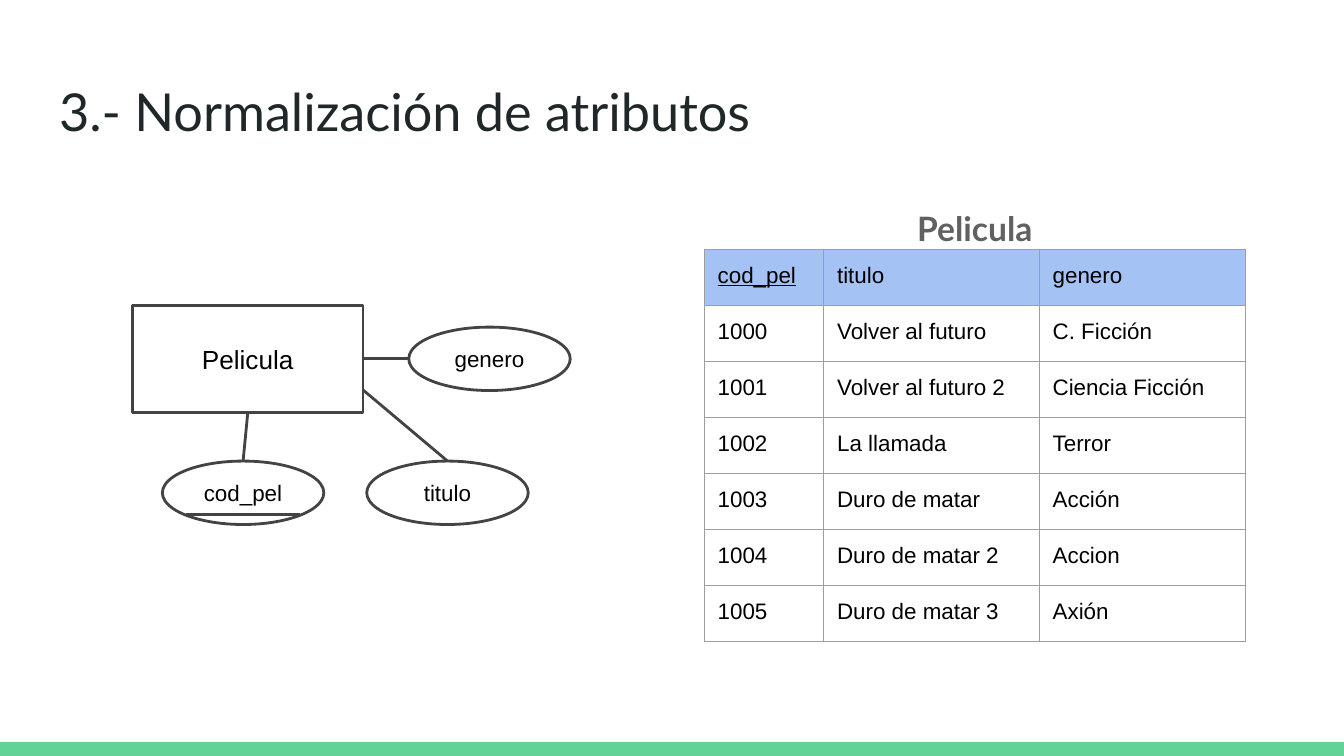
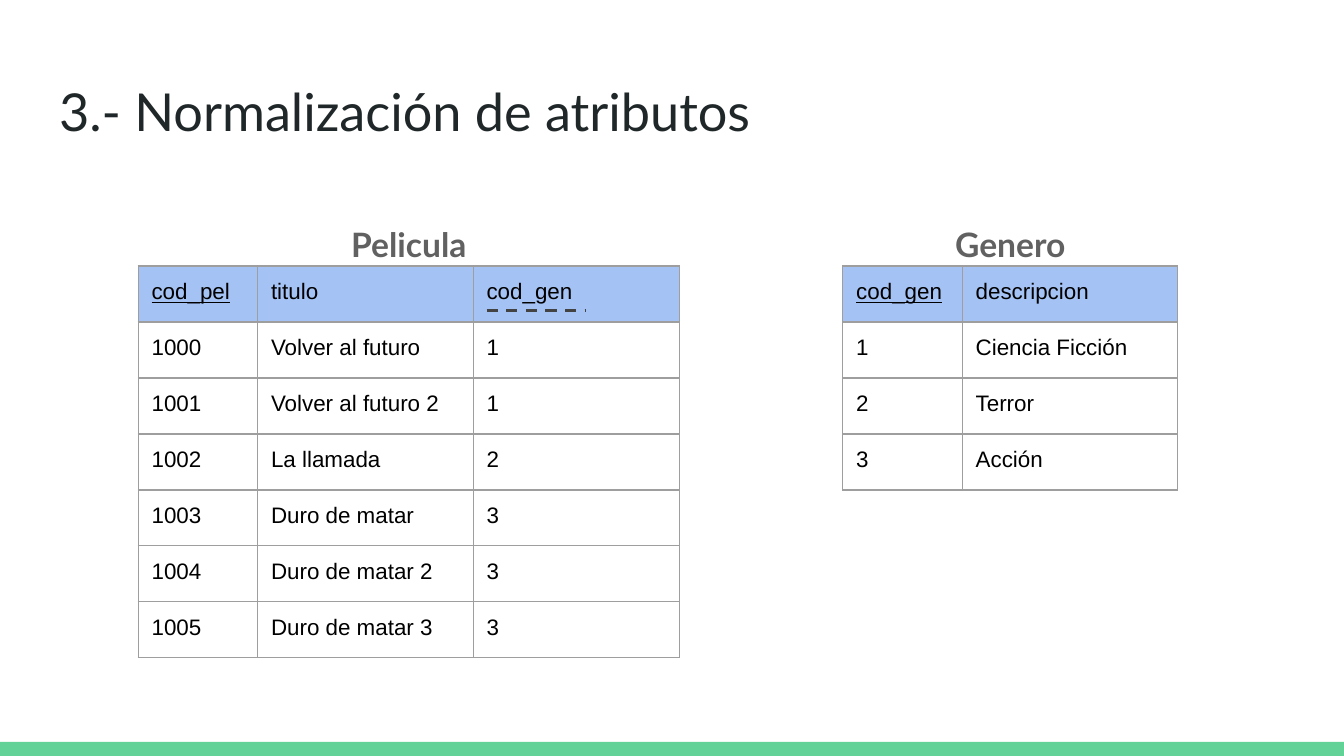
from lxml import etree
from pptx import Presentation
from pptx import util as u
from pptx.dml.color import RGBColor
from pptx.enum import dml, shapes, text
from pptx.oxml import ns

Pt = u.Pt


# Theme: colours, fonts and type sizes
class Theme:
    back, band, title = "FFFFFF", "63D297", "202729"
    ink, cap, line = "000000", "616161", "434343"
    head, grid = "A4C2F4", "9E9E9E"
    sans, lato = "Arial", "Lato"
    big, mid, box, small = 28, 18, 14, 12
    stroke, rule, pad = 1.5, 0.75, 7.2


# Content
TITLE = "3.- Normalización de atributos"
FILMS = [
    ("1000", "Volver al futuro"),
    ("1001", "Volver al futuro 2"),
    ("1002", "La llamada"),
    ("1003", "Duro de matar"),
    ("1004", "Duro de matar 2"),
    ("1005", "Duro de matar 3"),
]
GENRES = ["C. Ficción", "Ciencia Ficción", "Terror", "Acción", "Accion", "Axión"]
CODES = ["1", "1", "2", "3", "3", "3"]
KINDS = [("1", "Ciencia Ficción"), ("2", "Terror"), ("3", "Acción")]


def films(name, vals):
    return [("cod_pel", "titulo", name)] + [(*f, v) for f, v in zip(FILMS, vals)]


# Each slide: tables as caption, left, top, rows
SLIDES = [
    [("Pelicula", 377.25, 133.75, films("genero", GENRES))],
    [
        ("Pelicula", 74, 142.5, films("cod_gen", CODES)),
        ("Genero", 451.5, 142.5, [("cod_gen", "descripcion")] + KINDS),
    ],
]

# Diagram: entity and its attributes
ENTITY = ("Pelicula", 71, 163.5, 123.5, 57.5)
OVAL = (86.5, 34)
ATTRS = {"cod_pel": (87, 247), "titulo": (196.5, 247), "genero": (219, 175.25)}

# Measures
WIDE, HIGH = 720, 405
BAND = 7.5
COLS, ROW = (64, 115.5, 110.5), 30
CAP_W, CAP_H, CAP_UP = 346, 40, 33


def rgb(hexa):
    return RGBColor.from_string(hexa)


def put(obj, **vals):
    for key, val in vals.items():
        setattr(obj, key, val)


def write(frame, words, font, size, tone, bold=False, line=False, **para):
    pad = Pt(Theme.pad)
    put(frame, word_wrap=True, margin_left=pad, margin_right=pad,
        margin_top=pad, margin_bottom=pad)
    par = frame.paragraphs[0]
    put(par, **para)
    run = par.add_run()
    run.text = words
    put(run.font, name=font, size=Pt(size), bold=bold, underline=line)
    run.font.color.rgb = rgb(tone)


def shape(host, kind, x, y, w, h, fill=None):
    form = host.add_shape(kind, Pt(x), Pt(y), Pt(w), Pt(h))
    form.shadow.inherit = False
    if fill:
        form.fill.solid()
        form.fill.fore_color.rgb = rgb(fill)
        form.line.fill.background()
    else:
        form.fill.background()
        form.line.color.rgb = rgb(Theme.line)
        form.line.width = Pt(Theme.stroke)
    return form


def node(host, kind, words, size, *area):
    form = shape(host, kind, *area)
    form.text_frame.vertical_anchor = text.MSO_ANCHOR.MIDDLE
    write(form.text_frame, words, Theme.sans, size, Theme.ink,
          alignment=text.PP_ALIGN.CENTER)
    return form


def link(host, x1, y1, x2, y2):
    wire = host.add_connector(shapes.MSO_CONNECTOR.STRAIGHT,
                              Pt(x1), Pt(y1), Pt(x2), Pt(y2))
    wire.line.color.rgb = rgb(Theme.line)
    wire.line.width = Pt(Theme.stroke)
    etree.SubElement(wire._element.spPr, ns.qn("a:effectLst"))
    return wire


def edge(cell):
    props = cell._tc.get_or_add_tcPr()
    for side in "LRTB":
        line = etree.SubElement(props, ns.qn("a:ln" + side), w=str(Pt(Theme.rule)))
        fill = etree.SubElement(line, ns.qn("a:solidFill"))
        etree.SubElement(fill, ns.qn("a:srgbClr"), val=Theme.grid)


def table(host, name, x, y, rows):
    cols = COLS[:len(rows[0])]
    width = sum(cols)
    grid = host.add_table(len(rows), len(cols), Pt(x), Pt(y),
                          Pt(width), Pt(ROW * len(rows))).table
    put(grid, first_row=False, horz_banding=False)
    for col, w in zip(grid.columns, cols):
        col.width = Pt(w)
    for r, row in enumerate(rows):
        grid.rows[r].height = Pt(ROW)
        for c, words in enumerate(row):
            cell = grid.cell(r, c)
            pad = Pt(Theme.pad)
            put(cell, margin_left=pad, margin_right=pad,
                margin_top=pad, margin_bottom=pad)
            edge(cell)
            if r == 0:
                cell.fill.solid()
                cell.fill.fore_color.rgb = rgb(Theme.head)
            else:
                cell.fill.background()
            # The primary key is underlined
            write(cell.text_frame, words, Theme.sans, Theme.small, Theme.ink,
                  line=r == c == 0)
    # Caption centred over the table
    cap = host.add_textbox(Pt(x + (width - CAP_W) / 2), Pt(y - CAP_UP),
                           Pt(CAP_W), Pt(CAP_H))
    write(cap.text_frame, name, Theme.lato, Theme.mid, Theme.cap, bold=True,
          alignment=text.PP_ALIGN.CENTER, line_spacing=1.15, space_after=Pt(16))


def diagram(slide):
    host = slide.shapes.add_group_shape().shapes
    kind = shapes.MSO_SHAPE
    words, x, y, w, h = ENTITY
    main = node(host, kind.RECTANGLE, words, Theme.box, x, y, w, h)
    for words, spot in ATTRS.items():
        node(host, kind.OVAL, words, Theme.small, *spot, *OVAL)
    half = OVAL[0] / 2
    (kx, ky), (tx, ty), (gx, gy) = ATTRS.values()
    link(host, x + w / 2, y + h, kx + half, ky).begin_connect(main, 2)
    link(host, x + w, y + h / 2, gx, gy + OVAL[1] / 2).begin_connect(main, 3)
    link(host, x + w, y + h * 0.79, tx + half, ty)
    # Key mark inside the oval
    link(host, kx + 12.5, ky + 28.75, kx + 74, ky + 28.75)


def page(deck, tables):
    slide = deck.slides.add_slide(deck.slide_layouts[5])
    slide.background.fill.solid()
    slide.background.fill.fore_color.rgb = rgb(Theme.back)
    shape(slide.shapes, shapes.MSO_SHAPE.RECTANGLE, 0, HIGH - BAND, WIDE, BAND, Theme.band)
    head = slide.shapes.title
    put(head, left=Pt(24.5), top=Pt(35), width=Pt(671), height=Pt(45))
    put(head.text_frame, vertical_anchor=text.MSO_ANCHOR.TOP,
        auto_size=text.MSO_AUTO_SIZE.NONE)
    write(head.text_frame, TITLE, Theme.lato, Theme.big, Theme.title,
          alignment=text.PP_ALIGN.LEFT)
    for item in tables:
        table(slide.shapes, *item)
    return slide


def main():
    deck = Presentation()
    put(deck, slide_width=Pt(WIDE), slide_height=Pt(HIGH))
    first, second = [page(deck, tables) for tables in SLIDES]
    diagram(first)
    # Dashed mark under the foreign key
    _, x, y, _ = SLIDES[1][0]
    x, y = x + sum(COLS[:2]) + Theme.pad, y + 23.75
    mark = link(second.shapes, x, y, x + 52.75, y)
    mark.line.dash_style = dml.MSO_LINE.DASH
    deck.save("out.pptx")


if __name__ == "__main__":
    main()
